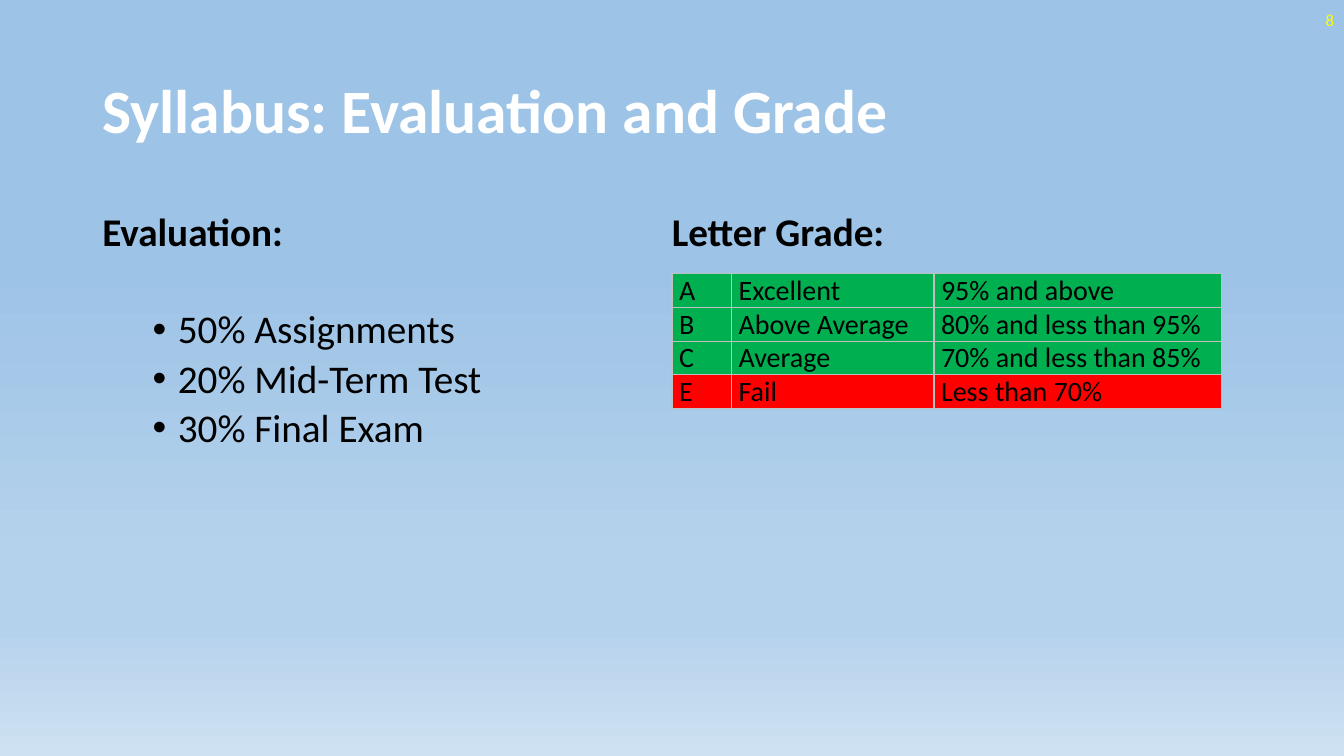
"""Build the course slide on evaluation and letter grades."""
from dataclasses import dataclass

from lxml.etree import SubElement
from pptx import Presentation
from pptx.dml.color import RGBColor as Color
from pptx.enum.text import MSO_ANCHOR as Anchor, PP_ALIGN as Align
from pptx.oxml.ns import qn
from pptx.util import Emu, Inches, Pt

FONT = "Calibri"
UNIT = Inches(1) // 12
COLUMNS, ROWS = 160, 90
COLORS = {
    "title": "FFFFFF",
    "text": "000000",
    "number": "FFFF00",
    "pass": "00B050",
    "fail": "FF0000",
    "border": "BFBFBF",
}
SKY = {35: "9DC3E6", 74: "B5D2EC", 83: "B5D2EC", 100: "CEE1F2"}
GRADE_COLUMNS = (7.1, 24.1, 34.2)
GRADE_ROW = 4


@dataclass(frozen=True)
class Label:
    lines: tuple[str, ...]
    left: float
    top: float
    width: float
    height: float
    size: int = 28
    color: str = "text"
    bold: bool = False
    bullets: bool = False
    spacing: float = 0.9
    anchor: Anchor = Anchor.TOP
    align: Align = Align.LEFT


@dataclass(frozen=True)
class Grade:
    letter: str
    meaning: str
    score: str
    fill: str = "pass"


LABELS = (
    Label(("Syllabus: Evaluation and Grade",), 11, 4.8, 138, 17.4, size=44,
          color="title", bold=True, anchor=Anchor.MIDDLE),
    Label(("Evaluation:",), 11, 24.7, 66, 6.5, bold=True),
    Label(("50% Assignments", "20% Mid-Term Test", "30% Final Exam"),
          11, 36.3, 66, 18.5, bullets=True),
    Label(("Letter Grade:",), 78.8, 24.7, 66, 6.5, bold=True),
    Label(("8",), 124, 0, 36, 4.8, size=12, color="number", spacing=1,
          anchor=Anchor.MIDDLE, align=Align.RIGHT),
)
GRADES = (
    Grade("A", "Excellent", "95% and above"),
    Grade("B", "Above Average", "80% and less than 95%"),
    Grade("C", "Average", "70% and less than 85%"),
    Grade("E", "Fail", "Less than 70%", "fail"),
)


def grid(count: float) -> Emu:
    """Turn grid units into a length."""
    return Emu(round(count * UNIT))


def style(para, size: int, color: str, bold: bool = False) -> None:
    """Set the font of a whole paragraph."""
    font = para.font
    font.name, font.size, font.bold = FONT, Pt(size), bold
    font.color.rgb = Color.from_string(COLORS[color])


def paint_background(page) -> None:
    """Fill the page with a vertical gradient."""
    fill = page.background.fill
    fill.gradient()
    fill.gradient_angle = 270
    stops = page.element.find(".//" + qn("a:gsLst"))
    stops.clear()
    for position, color in SKY.items():
        stop = SubElement(stops, qn("a:gs"), pos=str(position * 1000))
        SubElement(stop, qn("a:srgbClr"), val=color)


def add_bullet(para) -> None:
    """Give a paragraph a hanging round bullet."""
    settings = para._p.get_or_add_pPr()
    settings.set("marL", str(Inches(0.75)))
    settings.set("indent", str(-Inches(0.25)))
    SubElement(settings, qn("a:buFont"), typeface="Arial")
    SubElement(settings, qn("a:buChar"), char="•")


def draw_label(page, label: Label) -> None:
    """Draw one text box."""
    box = page.shapes.add_textbox(*map(
        grid, (label.left, label.top, label.width, label.height)))
    frame = box.text_frame
    frame.word_wrap = True
    frame.vertical_anchor = label.anchor
    frame.text = "\n".join(label.lines)
    for index, para in enumerate(frame.paragraphs):
        para.alignment = label.align
        para.line_spacing = label.spacing
        para.space_before = Pt(5 if index else 0)
        if label.bullets:
            add_bullet(para)
        style(para, label.size, label.color, label.bold)


def add_borders(cell) -> None:
    """Outline a table cell on all four sides."""
    settings = cell._tc.get_or_add_tcPr()
    for index, side in enumerate("LRTB"):
        line = SubElement(settings, qn(f"a:ln{side}"), w=str(Pt(1)))
        fill = SubElement(line, qn("a:solidFill"))
        SubElement(fill, qn("a:srgbClr"), val=COLORS["border"])
        settings.insert(index, line)


def draw_grades(page, left: float, top: float) -> None:
    """Draw the table of letter grades."""
    table = page.shapes.add_table(
        len(GRADES), len(GRADE_COLUMNS), grid(left), grid(top),
        grid(sum(GRADE_COLUMNS)), grid(GRADE_ROW * len(GRADES))).table
    table.first_row = table.horz_banding = False
    for column, width in zip(table.columns, GRADE_COLUMNS):
        column.width = grid(width)
    for row, grade in zip(table.rows, GRADES):
        row.height = grid(GRADE_ROW)
        for cell, text in zip(row.cells, (grade.letter, grade.meaning, grade.score)):
            cell.text = text
            cell.margin_left = cell.margin_right = Inches(0.07)
            cell.margin_top = cell.margin_bottom = 0
            cell.fill.solid()
            cell.fill.fore_color.rgb = Color.from_string(COLORS[grade.fill])
            add_borders(cell)
            style(cell.text_frame.paragraphs[0], 20, "text")


def main() -> None:
    """Build and save the deck."""
    deck = Presentation()
    deck.slide_width, deck.slide_height = grid(COLUMNS), grid(ROWS)
    page = deck.slides.add_slide(deck.slide_layouts[6])
    paint_background(page)
    for label in LABELS:
        draw_label(page, label)
    draw_grades(page, 80, 32.6)
    deck.save("out.pptx")


if __name__ == "__main__":
    main()
